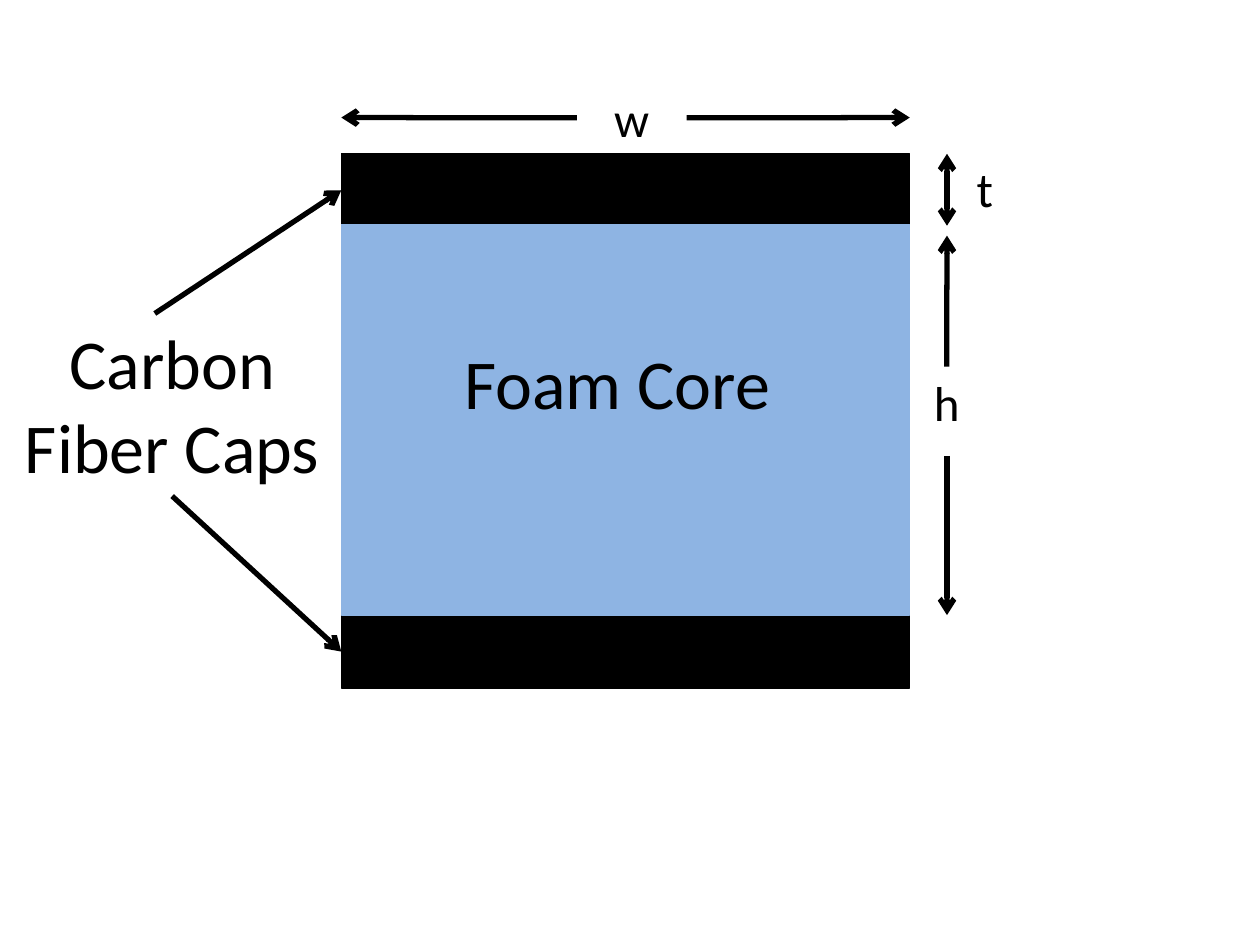
from lxml import etree
from pptx import Presentation
from pptx.dml.color import RGBColor
from pptx.enum.shapes import MSO_CONNECTOR, MSO_SHAPE
from pptx.enum.text import MSO_AUTO_SIZE, PP_ALIGN
from pptx.oxml.ns import qn
from pptx.util import Cm, Pt

RECTANGLE = MSO_SHAPE.RECTANGLE
STRAIGHT = MSO_CONNECTOR.STRAIGHT
GROW = MSO_AUTO_SIZE.SHAPE_TO_FIT_TEXT
CENTER = PP_ALIGN.CENTER
TOP, LEFT, BOTTOM, RIGHT = range(4)

COLORS = {"ink": "000000", "foam": "8EB4E3"}


class Diagram:
    """Style of the beam section drawing and the slide it is drawn on."""

    font = "Calibri"
    symbol_size = 28
    name_size = 40

    def __init__(self, slide):
        self.slide = slide

    def color(self, key):
        return RGBColor.from_string(COLORS[key])

    def layer(self, left, top, width, height, key):
        rect = self.slide.shapes.add_shape(
            RECTANGLE, Cm(left), Cm(top), Cm(width), Cm(height))
        rect.shadow.inherit = False
        rect.fill.solid()
        rect.fill.fore_color.rgb = self.color(key)
        rect.line.color.rgb = self.color(key)
        rect.line.width = Pt(0.75)
        return rect

    def label(self, text, left, top, width, height, size):
        box = self.slide.shapes.add_textbox(
            Cm(left), Cm(top), Cm(width), Cm(height))
        frame = box.text_frame
        frame.word_wrap = True
        frame.auto_size = GROW
        paragraph = frame.paragraphs[0]
        paragraph.alignment = CENTER
        run = paragraph.add_run()
        run.text = text
        run.font.name = self.font
        run.font.size = Pt(size)
        run.font.color.rgb = self.color("ink")
        return box

    def symbol(self, text, left, top):
        return self.label(text, left, top, 2.21, 1.45, self.symbol_size)

    def arrow(self, start, end, start_joint=None, end_joint=None):
        """Points are in cm; a joint is a (shape, side) pair."""
        line = self.slide.shapes.add_connector(
            STRAIGHT, *(Cm(value) for value in (*start, *end)))
        line.line.color.rgb = self.color("ink")
        line.line.width = Pt(3)
        if start_joint:
            line.begin_connect(*start_joint)
        if end_joint:
            line.end_connect(*end_joint)
        outline = line.line._get_or_add_ln()
        etree.SubElement(outline, qn("a:tailEnd"), type="arrow")
        etree.SubElement(line._element.spPr, qn("a:effectLst"))
        return line


def main():
    prs = Presentation()
    prs.slide_width, prs.slide_height = Cm(25.4), Cm(19.05)
    diagram = Diagram(prs.slides.add_slide(prs.slide_layouts[6]))

    # Beam cross-section: two caps around the core
    left, width = 6.88, 11.46
    right = left + width
    cap_height = 1.47
    top, core_top, core_bottom = 3.1, 4.52, 12.4
    top_cap = diagram.layer(left, top, width, cap_height, "ink")
    bottom_cap = diagram.layer(left, core_bottom, width, cap_height, "ink")
    diagram.layer(left, core_top, width, core_bottom - core_top, "foam")

    # Width dimension
    width_y = 2.37
    w_label = diagram.symbol("w", 11.63, 1.65)
    diagram.arrow((13.84, width_y), (right, width_y), (w_label, RIGHT))
    diagram.arrow((11.63, width_y), (left, width_y), (w_label, LEFT))

    # Cap thickness dimension
    height_x = 19.09
    thickness_middle = 3.78
    diagram.symbol("t", 18.75, 3.07)
    for tip in (top, 4.55):
        diagram.arrow((height_x, thickness_middle), (height_x, tip))

    # Core height dimension
    h_label = diagram.symbol("h", 17.98, 7.39)
    diagram.arrow((height_x, 9.19), (height_x, core_bottom))
    diagram.arrow((height_x, 7.39), (height_x, 4.75), (h_label, TOP))

    # Material names
    diagram.label("Foam Core", 8.59, 6.71, 7.7, 1.96, diagram.name_size)
    caps_label = diagram.label(
        "Carbon Fiber Caps", -0.38, 6.32, 7.7, 3.68, diagram.name_size)

    # Pointers from the name to the caps
    half_cap = cap_height / 2
    diagram.arrow((3.47, 10), (left, core_bottom + half_cap),
                  (caps_label, BOTTOM), (bottom_cap, LEFT))
    diagram.arrow((3.12, 6.32), (left, top + half_cap),
                  end_joint=(top_cap, LEFT))

    prs.save("out.pptx")


if __name__ == "__main__":
    main()
